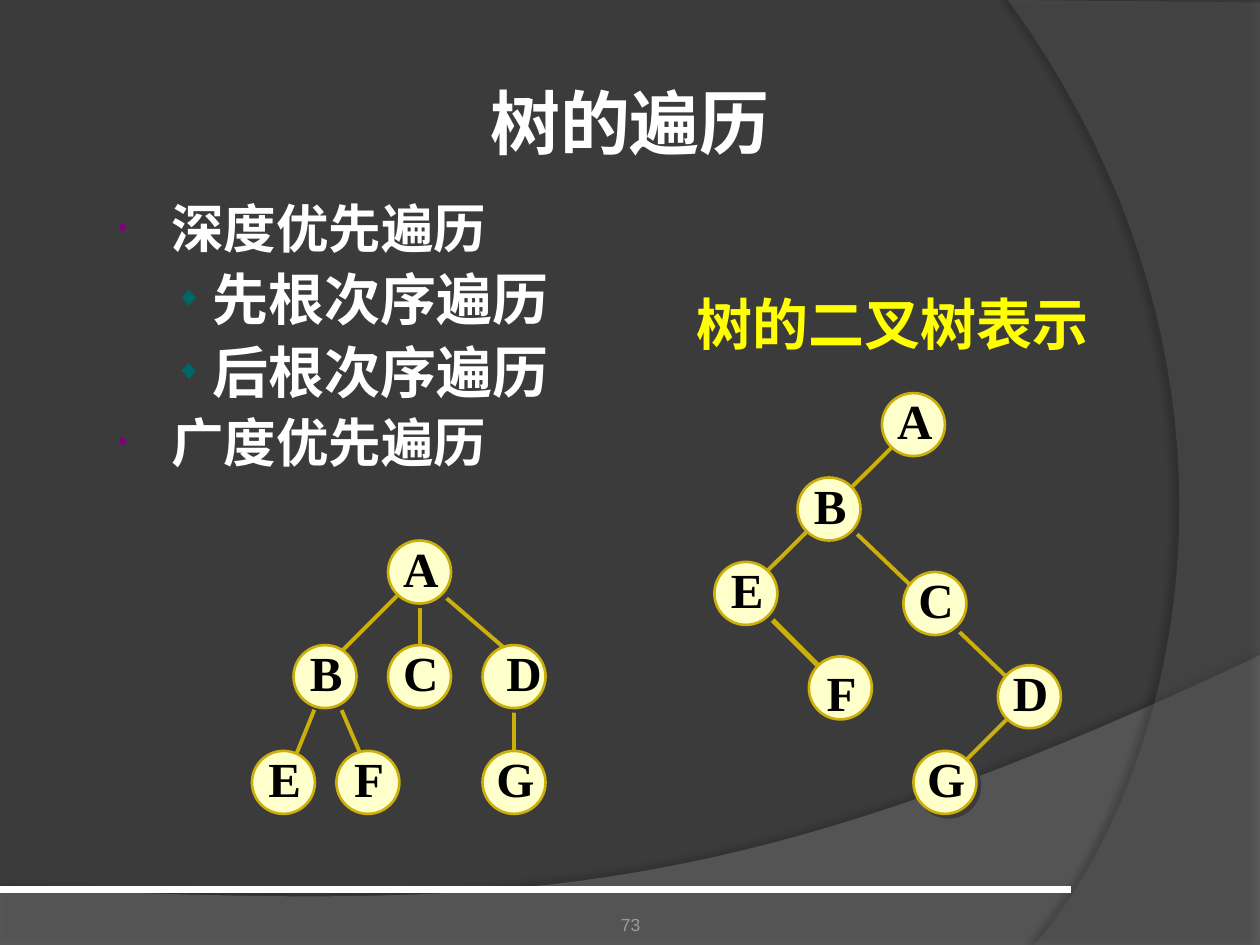
from lxml.etree import SubElement
from pptx import Presentation
from pptx.dml.color import RGBColor
from pptx.enum.shapes import MSO_CONNECTOR, MSO_SHAPE
from pptx.enum.text import MSO_ANCHOR, MSO_AUTO_SIZE, PP_ALIGN
from pptx.oxml.ns import qn
from pptx.util import Inches, Pt

COLORS = {
    "back": "3B3B3B", "wave": "7F7F7F", "arc": "5E5E5E", "white": "FFFFFF",
    "page": "9D9B9A", "head": "FFFF00", "edge": "CCAF0A", "node": "FFFFCC",
    "black": "000000", "dot": "800080", "gem": "006666",
}
SERIF = "Times New Roman"
SIZE = 0.5

PLAIN = {
    "A": (3.08, 4.29), "B": (2.33, 5.12), "C": (3.08, 5.12), "D": (3.83, 5.12),
    "E": (2, 5.96), "F": (2.67, 5.96), "G": (3.83, 5.96),
}
BINARY = {
    "A": (7, 3.12), "B": (6.33, 3.79), "C": (7.17, 4.54), "D": (7.92, 5.28),
    "E": (5.67, 4.46), "F": (6.42, 5.21), "G": (7.25, 5.96),
}
EDGES = [
    (8.08, 5.62, 7.58, 6.12), (4.08, 5.54, 4.08, 6.04),
    (2.67, 5.54, 2.92, 6.12), (2.5, 5.62, 2.33, 6.04),
    (3.5, 4.71, 4.08, 5.21), (3.33, 4.79, 3.33, 5.21),
    (3.17, 4.71, 2.67, 5.21), (7.17, 3.46, 6, 4.62),
    (6.75, 4.19, 8.08, 5.46),
]
ITEMS = [
    ("深度优先遍历", 0), ("先根次序遍历", 1),
    ("后根次序遍历", 1), ("广度优先遍历", 0),
]
LEVELS = [
    (30, 0.46, -0.42, "•", "dot"),
    (32, 0.79, -0.3, "◆", "gem"),
]


def rgb(name):
    return RGBColor.from_string(COLORS[name])


def add_sub(parent, tag, **attrs):
    return SubElement(parent, qn(tag), {key: str(val) for key, val in attrs.items()})


def add_glow(shape, color, alpha, blur, dist, angle):
    shape.shadow.inherit = False
    effect = shape._element.spPr.find(qn("a:effectLst"))
    outer = add_sub(effect, "a:outerShdw", blurRad=Pt(blur), dist=Pt(dist),
                    dir=angle * 60000, algn="ctr", rotWithShape=0)
    tint = add_sub(outer, "a:srgbClr", val=COLORS[color])
    add_sub(tint, "a:alpha", val=alpha * 1000)


def style(para, size, font, color, bold=True):
    for run in para.runs:
        run.font.size = Pt(size)
        run.font.name = font
        run.font.bold = bold
        run.font.color.rgb = rgb(color)


def add_text(slide, box, text, size, font, color, bold=True, align=None, wrap=True):
    shape = slide.shapes.add_textbox(*map(Inches, box))
    frame = shape.text_frame
    frame.word_wrap = wrap
    frame.text = text
    frame.paragraphs[0].alignment = align
    style(frame.paragraphs[0], size, font, color, bold)
    return frame


def add_line(slide, ends, color, width):
    line = slide.shapes.add_connector(MSO_CONNECTOR.STRAIGHT, *map(Inches, ends))
    line.line.color.rgb = rgb(color)
    line.line.width = Pt(width)
    add_sub(line._element.spPr, "a:effectLst")


def curve(nodes, steps=40):
    for step in range(steps + 1):
        t = step / steps
        parts = ((1 - t) ** 3, 3 * t * (1 - t) ** 2, 3 * t * t * (1 - t), t ** 3)
        yield tuple(sum(w * node[axis] for w, node in zip(parts, nodes)) for axis in (0, 1))


def add_sweep(slide, points, color, alpha, glow):
    first, *rest = [(Inches(x), Inches(y)) for x, y in points]
    form = slide.shapes.build_freeform(*first)
    form.add_line_segments(rest, close=True)
    shape = form.convert_to_shape()
    shape.fill.solid()
    shape.fill.fore_color.rgb = rgb(color)
    tint = shape._element.spPr.find(qn("a:solidFill"))[0]
    add_sub(tint, "a:alpha", val=alpha * 1000)
    shape.line.fill.background()
    add_glow(shape, "black", *glow)


def add_node(slide, name, left, top, shift):
    shape = slide.shapes.add_shape(MSO_SHAPE.OVAL, *map(Inches, (left, top, SIZE, SIZE)))
    shape.fill.solid()
    shape.fill.fore_color.rgb = rgb("node")
    shape.line.color.rgb = rgb("edge")
    shape.line.width = Pt(1.5)
    add_glow(shape, "back", 100, 0, 2.8, 45)
    right, down = shift
    frame = add_text(slide, (left + 0.01 + right, top - 0.07 + down, SIZE, 0.57),
                     name, 28, SERIF, "black", align=PP_ALIGN.CENTER, wrap=False)
    frame.vertical_anchor = MSO_ANCHOR.MIDDLE
    frame.auto_size = MSO_AUTO_SIZE.SHAPE_TO_FIT_TEXT


def add_tree(slide, nodes, shifts):
    for name, (left, top) in nodes.items():
        add_node(slide, name, left, top, shifts.get(name, (0, 0)))


def set_title(slide, text):
    title = slide.shapes.title
    title.left, title.top, title.width, title.height = map(Inches, (0.5, 0.5, 9, 0.93))
    frame = title.text_frame
    frame.text = text
    frame.vertical_anchor = MSO_ANCHOR.MIDDLE
    frame.margin_left = frame.margin_right = Inches(0.05)
    frame.paragraphs[0].alignment = PP_ALIGN.CENTER
    style(frame.paragraphs[0], 40, "Karla", "white")


def add_list(slide, box):
    frame = slide.shapes.add_textbox(*map(Inches, box)).text_frame
    frame.word_wrap = True
    for place, (text, level) in enumerate(ITEMS):
        para = frame.add_paragraph() if place else frame.paragraphs[0]
        size, margin, indent, mark, color = LEVELS[level]
        para.text = text
        para.level = level
        para.space_before = Pt(3)
        style(para, size, "Arial", "white")
        props = para._p.get_or_add_pPr()
        props.set("marL", str(Inches(margin)))
        props.set("indent", str(Inches(indent)))
        add_sub(add_sub(props, "a:buClr"), "a:srgbClr", val=COLORS[color])
        add_sub(props, "a:buSzPct", val=50000)
        add_sub(props, "a:buFont", typeface="Arial")
        add_sub(props, "a:buChar", char=mark)


def main():
    deck = Presentation()
    deck.slide_width, deck.slide_height = Inches(10), Inches(7.5)
    slide = deck.slides.add_slide(deck.slide_layouts[5])
    slide.background.fill.solid()
    slide.background.fill.fore_color.rgb = rgb("back")

    wave = curve([(10, 5.2), (5.59, 7.29), (3.91, 7.19), (0, 7.05)])
    add_sweep(slide, [(0, 7.51), (10, 7.51), *wave], "wave", 45, (35, 4, 3.5, 270))
    arc = curve([(8.21, 7.5), (9.35, 6.19), (10.18, 3), (8, 0)])
    add_sweep(slide, [(10, 0.02), (10, 7.5), *arc], "arc", 40, (45, 4, 4, 180))
    add_line(slide, (0, 7.06, 8.5, 7.06), "white", 4.5)

    page = add_text(slide, (3.42, 7.02, 3.17, 0.4), "73", 10, "Arial", "page",
                    bold=False, align=PP_ALIGN.CENTER)
    page.vertical_anchor = MSO_ANCHOR.BOTTOM
    page.margin_bottom = 0
    add_text(slide, (5.43, 2.25, 3.42, 0.63), "树的二叉树表示", 32, SERIF, "head")
    set_title(slide, "树的遍历")
    add_list(slide, (0.8, 1.51, 4.16, 2.6))

    add_line(slide, (6, 4.79, 6.5, 5.29), "edge", 3)
    for ends in EDGES:
        add_line(slide, ends, "edge", 2.25)
    add_tree(slide, BINARY, {"F": (0, 0.07)})
    add_tree(slide, PLAIN, {"D": (0.07, 0)})
    deck.save("out.pptx")


main()
